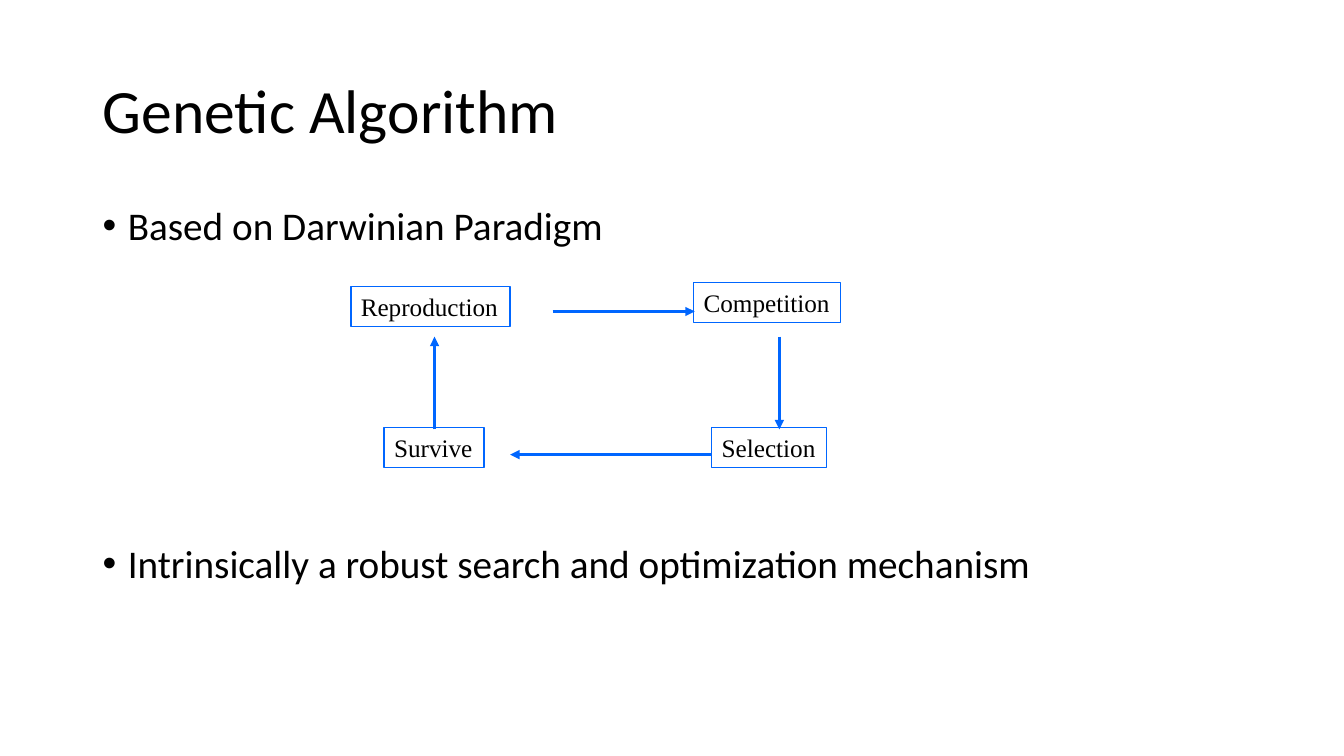
import pptx
import pptx.util
import pptx.dml.color
import pptx.enum.shapes
import pptx.enum.text
import pptx.oxml
import pptx.oxml.ns

Inches, Pt = pptx.util.Inches, pptx.util.Pt
BLACK = pptx.dml.color.RGBColor(0x00, 0x00, 0x00)
BLUE = pptx.dml.color.RGBColor(0x00, 0x66, 0xFF)

# Content
TITLE = "Genetic Algorithm"
# Bullet text, space before in points (the second leaves room for the cycle)
BULLETS = [
    ("Based on Darwinian Paradigm", 0),
    ("Intrinsically a robust search and optimization mechanism", 211),
]
# Stage name, left, top, width in inches
STAGES = [
    ("Reproduction", 3.48, 2.84, 1.58),
    ("Competition", 6.88, 2.8, 1.46),
    ("Selection", 7.06, 4.24, 1.14),
    ("Survive", 3.81, 4.24, 0.99),
]
STAGE_HEIGHT = 0.4
# Arrows run clockwise between these lines, in inches
UPPER, LOWER = 3.34, 4.26
ARROWS = [
    (5.48, 3.09, 6.89, 3.09),
    (7.73, UPPER, 7.73, LOWER),
    (7.06, 4.51, 5.06, 4.51),
    (4.31, LOWER, 4.31, UPPER),
]
MARGIN, CONTENT_WIDTH = 0.92, 11.5


def style(para, font_name, size):
    para.alignment = pptx.enum.text.PP_ALIGN.LEFT
    for span in para.runs:
        span.font.name = font_name
        span.font.size = Pt(size)
        span.font.color.rgb = BLACK


def add_child(parent, xml):
    namespace = pptx.oxml.ns.nsdecls("a")
    parent.append(pptx.oxml.parse_xml(xml.replace("/>", f" {namespace}/>")))


deck = pptx.Presentation()
deck.slide_width, deck.slide_height = Inches(13.33), Inches(7.5)
page = deck.slides.add_slide(deck.slide_layouts[5])

# Title
title = page.shapes.title
title.left, title.top = Inches(MARGIN), Inches(0.4)
title.width, title.height = Inches(CONTENT_WIDTH), Inches(1.45)
title.text_frame.text = TITLE
title.text_frame.vertical_anchor = pptx.enum.text.MSO_ANCHOR.MIDDLE
title.text_frame.paragraphs[0].line_spacing = 0.9
style(title.text_frame.paragraphs[0], "Calibri", 44)

# Bullets
body = page.shapes.add_textbox(
    Inches(MARGIN), Inches(2), Inches(CONTENT_WIDTH), Inches(4.76))
body.text_frame.word_wrap = True
body.text_frame.text = "\n".join(text for text, space in BULLETS)
for para, (text, space) in zip(body.text_frame.paragraphs, BULLETS):
    para.line_spacing = 0.9
    para.space_before = Pt(space)
    properties = para._p.get_or_add_pPr()
    properties.set("marL", str(Inches(0.25)))
    properties.set("indent", str(-Inches(0.25)))
    add_child(properties, '<a:buFont typeface="Arial"/>')
    add_child(properties, '<a:buChar char="•"/>')
    style(para, "Calibri", 28)

# Stages of the cycle
for name, left, top, width in STAGES:
    box = page.shapes.add_shape(
        pptx.enum.shapes.MSO_SHAPE.RECTANGLE,
        Inches(left), Inches(top), Inches(width), Inches(STAGE_HEIGHT))
    box.shadow.inherit = False
    box.fill.background()
    box.line.color.rgb = BLUE
    box.line.width = Pt(1)
    box.text_frame.text = name
    box.text_frame.word_wrap = False
    box.text_frame.auto_size = pptx.enum.text.MSO_AUTO_SIZE.SHAPE_TO_FIT_TEXT
    box.text_frame.vertical_anchor = pptx.enum.text.MSO_ANCHOR.TOP
    style(box.text_frame.paragraphs[0], "Times New Roman", 18)

# Arrows
for ends in ARROWS:
    arrow = page.shapes.add_connector(
        pptx.enum.shapes.MSO_CONNECTOR.STRAIGHT, *map(Inches, ends))
    arrow.line.color.rgb = BLUE
    arrow.line.width = Pt(2.25)
    add_child(arrow.line._get_or_add_ln(), '<a:tailEnd type="triangle"/>')
    add_child(arrow._element.spPr, "<a:effectLst/>")

deck.save("out.pptx")
